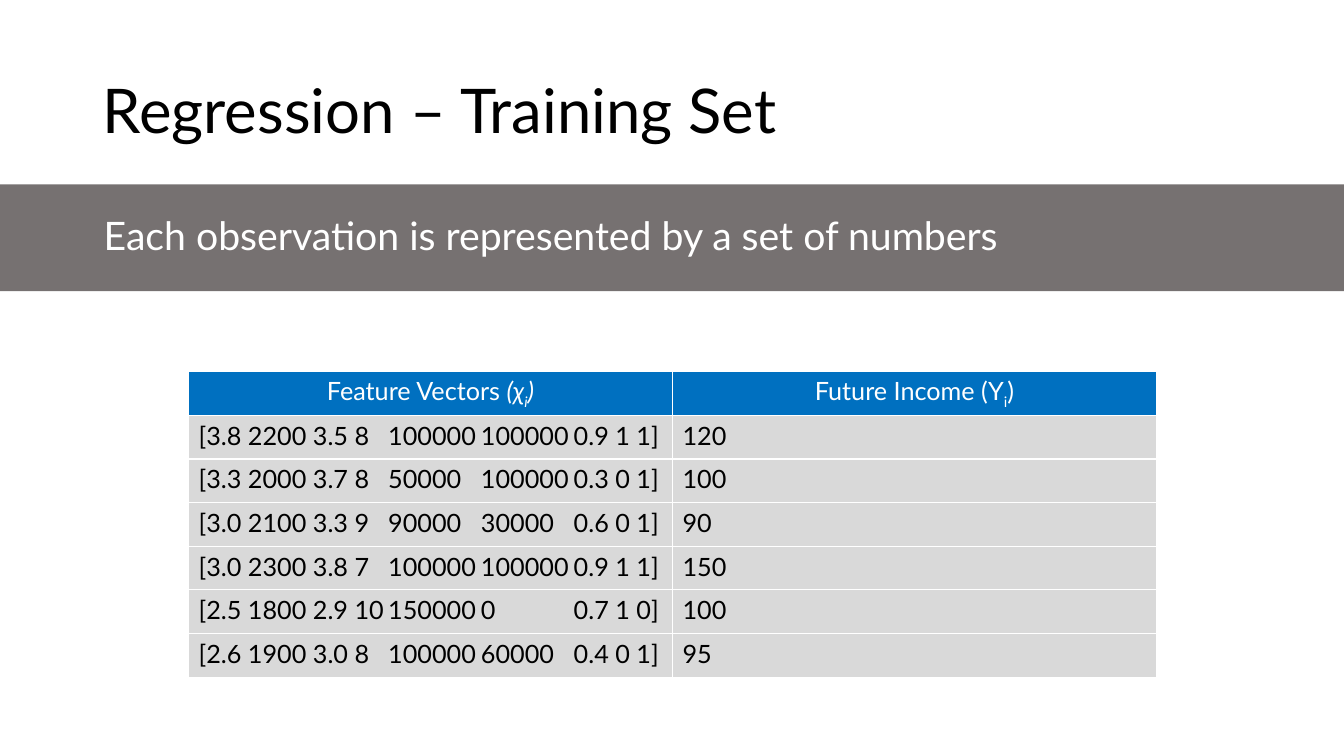
from lxml.etree import SubElement as sub
from pptx import Presentation
from pptx.dml.color import RGBColor as Rgb
from pptx.enum.shapes import MSO_SHAPE as Shape
from pptx.enum.text import MSO_ANCHOR as Anchor, PP_ALIGN as Align
from pptx.oxml.ns import qn

PX = 9144  # EMU, 100 px to the inch
COLORS = {"black": "000000", "white": "FFFFFF", "band": "767171",
          "head": "0070C0", "body": "D9D9D9"}
HEADS = [
    [("Feature Vectors ", {}), ("(χ", {"italic": True}),
     ("i", {"italic": True, "sub": True}), (")", {"italic": True})],
    [("Future Income (Y", {}), ("i", {"sub": True}), (")", {})],
]
ROWS = [
    ("[3.8 2200 3.5 8\t100000\t100000\t0.9 1 1]", "120"),
    ("[3.3 2000 3.7 8\t50000\t100000\t0.3 0 1]", "100"),
    ("[3.0 2100 3.3 9\t90000\t30000\t0.6 0 1]", "90"),
    ("[3.0 2300 3.8 7\t100000\t100000\t0.9 1 1]", "150"),
    ("[2.5 1800 2.9 10\t150000\t0\t0.7 1 0]", "100"),
    ("[2.6 1900 3.0 8\t100000\t60000\t0.4 0 1]", "95"),
]
STOPS = (188, 280, 372)


def emu(*sizes):
    return [size * PX for size in sizes]


def tint(fill, color):
    fill.solid()
    fill.fore_color.rgb = Rgb.from_string(COLORS[color])


class Deck:
    def __init__(self, slide, font):
        self.slide, self.font = slide, font

    def runs(self, para, parts, size, color):
        """Add styled runs to a paragraph."""
        for text, style in parts:
            run = para.add_run()
            run.text = text
            form = {"name": self.font, "size": size * 12700, "bold": False,
                    "italic": style.get("italic", False)}
            for key, value in form.items():
                setattr(run.font, key, value)
            tint(run.font.fill, color)
            if style.get("sub"):
                run._r.get_or_add_rPr().set("baseline", "-25000")

    def text(self, box, words, size, color):
        frame = self.slide.shapes.add_textbox(*emu(*box)).text_frame
        frame.word_wrap = True
        frame.vertical_anchor = Anchor.MIDDLE
        para = frame.paragraphs[0]
        para.line_spacing = 0.9
        self.runs(para, [(words, {})], size, color)

    def band(self, box, color):
        shape = self.slide.shapes.add_shape(Shape.RECTANGLE, *emu(*box))
        shape.shadow.inherit = False
        tint(shape.fill, color)
        shape.line.fill.background()

    def edge(self, cell):
        """Draw thin white borders on all sides of a cell."""
        props = cell._tc.get_or_add_tcPr()
        for spot, side in enumerate(("lnL", "lnR", "lnT", "lnB")):
            line = sub(props, qn("a:" + side), w="12700")
            fill = sub(line, qn("a:solidFill"))
            sub(fill, qn("a:srgbClr"), val=COLORS["white"])
            props.insert(spot, line)

    def stops(self, para):
        """Add left tab stops that line up the number groups."""
        tabs = sub(para._p.get_or_add_pPr(), qn("a:tabLst"))
        for stop in STOPS:
            sub(tabs, qn("a:tab"), pos=str(stop * PX), algn="l")

    def table(self, box, heads, rows):
        grid = [heads] + [[[(text, {})] for text in row] for row in rows]
        table = self.slide.shapes.add_table(
            len(grid), len(heads), *emu(*box)).table
        table.horz_banding = False
        for r, row in enumerate(grid):
            for c, parts in enumerate(row):
                cell = table.cell(r, c)
                tint(cell.fill, "body" if r else "head")
                self.edge(cell)
                para = cell.text_frame.paragraphs[0]
                if r == 0:
                    para.alignment = Align.CENTER
                elif c == 0:
                    self.stops(para)
                self.runs(para, parts, 18, "black" if r else "white")


def main():
    show = Presentation()
    show.slide_width, show.slide_height = emu(1333, 750)
    deck = Deck(show.slides.add_slide(show.slide_layouts[6]), "Lato")
    deck.text((92, 40, 1150, 145), "Regression – Training Set", 44, "black")
    deck.band((0, 183, 1333, 106), "band")
    deck.text((93, 172, 1031, 128),
              "Each observation is represented by a set of numbers",
              28, "white")
    deck.table((187, 368, 960, 303), HEADS, ROWS)
    show.save("out.pptx")


if __name__ == "__main__":
    main()
